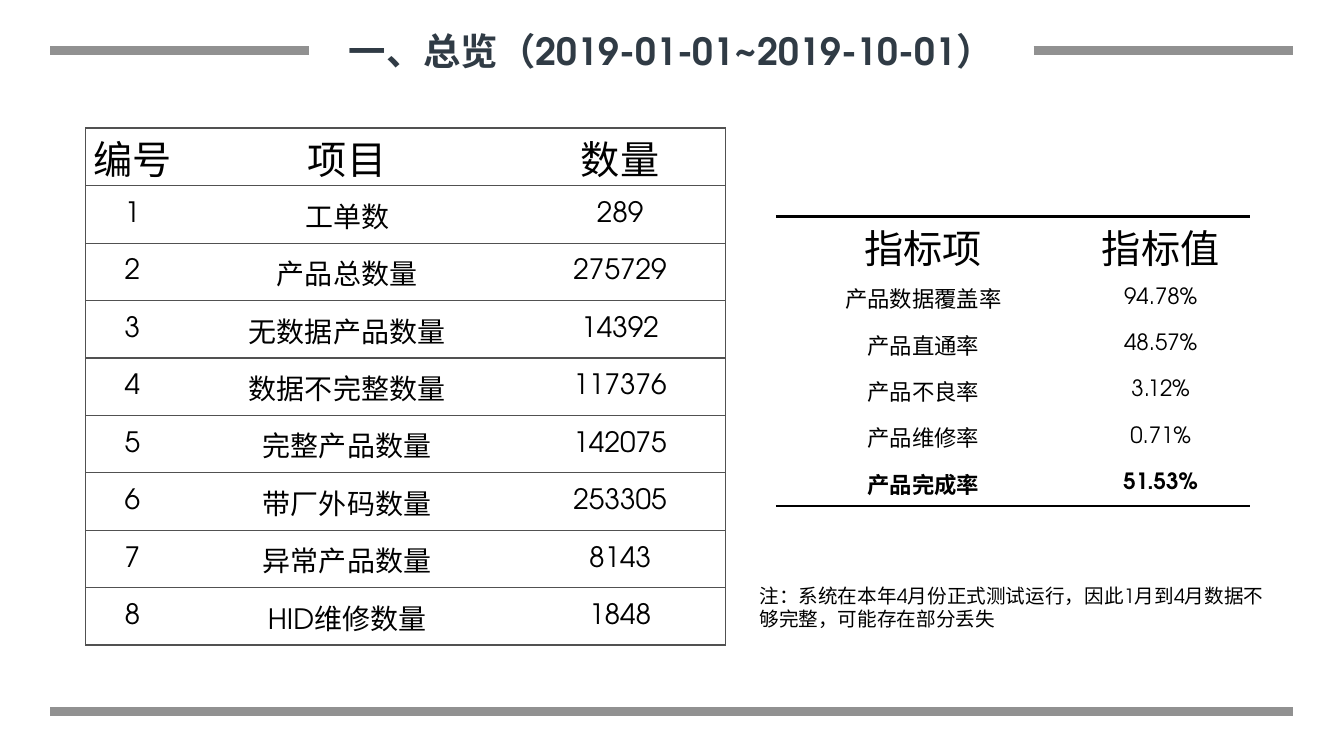
"""Build the overview slide with its quantity and indicator tables."""
from dataclasses import dataclass

from lxml.etree import SubElement
from pptx import Presentation
from pptx.dml.color import RGBColor
from pptx.enum.shapes import MSO_CONNECTOR as CONN
from pptx.enum.text import MSO_ANCHOR as ANCHOR, PP_ALIGN as ALIGN
from pptx.oxml.ns import qn
from pptx.util import Inches, Pt

FONT = "TeX Gyre Adventor"
NO_STYLE = "{2D5ABB26-0587-4C30-8999-92F81FD0307C}"
COLORS = {"rule": "919191", "title": "303B45", "grid": "515151",
          "text": "000000", "cell": "FFFFFF"}


@dataclass
class Rule:
    x1: float
    x2: float
    y: float


@dataclass
class Label:
    text: str
    box: tuple[float, float, float, float]
    size: float
    color: str = "text"
    bold: bool = False
    align: ALIGN = ALIGN.LEFT
    anchor: ANCHOR = ANCHOR.TOP


@dataclass
class Grid:
    rows: list[tuple[str, ...]]
    left: float
    top: float
    widths: list[float]
    head_height: float
    row_height: float
    body_size: float
    line_color: str
    line_width: float
    boxed: bool
    bold_last: bool = False


RULES = [Rule(0.5, 3.07, 0.5), Rule(10.26, 12.83, 0.5), Rule(0.5, 12.83, 7.06)]

LABELS = [
    Label("一、总览（2019-01-01~2019-10-01）", (3.07, 0.2, 7.19, 0.6), 26.7,
          "title", True, ALIGN.CENTER, ANCHOR.MIDDLE),
    Label("注：系统在本年4月份正式测试运行，因此1月到4月数据不够完整，可能存在部分丢失",
          (7.44, 5.74, 5.23, 0.57), 14),
]

QUANTITIES = [("工单数", "289"), ("产品总数量", "275729"),
              ("无数据产品数量", "14392"), ("数据不完整数量", "117376"),
              ("完整产品数量", "142075"), ("带厂外码数量", "253305"),
              ("异常产品数量", "8143"), ("HID维修数量", "1848")]
INDICATORS = [("产品数据覆盖率", "94.78%"), ("产品直通率", "48.57%"),
              ("产品不良率", "3.12%"), ("产品维修率", "0.71%"),
              ("产品完成率", "51.53%")]

GRIDS = [
    Grid([("编号", "项目", "数量")]
         + [(str(n), *row) for n, row in enumerate(QUANTITIES, 1)],
         0.85, 1.27, [0.93, 3.33, 2.09], 0.57, 0.57, 20, "grid", 1, True),
    Grid([("指标项", "指标值")] + INDICATORS,
         7.7, 2.15, [2.93, 1.78], 0.52, 0.46, 16, "text", 2, False, True),
]


def rgb(name: str) -> RGBColor:
    return RGBColor.from_string(COLORS[name])


def style(p, size: float, color: str, bold: bool, align: ALIGN) -> None:
    p.alignment = align
    p.font.name, p.font.size, p.font.bold = FONT, Pt(size), bold
    p.font.color.rgb = rgb(color)


def draw_rule(s, rule: Rule) -> None:
    y = Inches(rule.y)
    line = s.shapes.add_connector(CONN.STRAIGHT, Inches(rule.x1), y,
                                  Inches(rule.x2), y)
    line.line.color.rgb, line.line.width = rgb("rule"), Pt(6)
    SubElement(line._element.spPr, qn("a:effectLst"))


def draw_label(s, label: Label) -> None:
    sp = s.shapes.add_textbox(*map(Inches, label.box))
    tf = sp.text_frame
    tf.word_wrap, tf.vertical_anchor = True, label.anchor
    p = tf.paragraphs[0]
    p.text = label.text
    style(p, label.size, label.color, label.bold, label.align)


def add_borders(cell, sides: str, color: str, width: float) -> None:
    for side in sides:
        ln = SubElement(cell._tc.get_or_add_tcPr(), qn(f"a:ln{side}"),
                        w=str(Pt(width)))
        fill = SubElement(ln, qn("a:solidFill"))
        SubElement(fill, qn("a:srgbClr"), val=COLORS[color])


def border_sides(grid: Grid, row: int, col: int) -> str:
    last_row, last_col = len(grid.rows) - 1, len(grid.widths) - 1
    shown = {"L": grid.boxed and col == 0,
             "R": grid.boxed and col == last_col,
             "T": grid.boxed or row == 0,
             "B": grid.boxed or row == last_row}
    return "".join(side for side, on in shown.items() if on)


def draw_grid(s, grid: Grid) -> None:
    count = len(grid.rows)
    heights = [grid.head_height] + [grid.row_height] * (count - 1)
    table = s.shapes.add_table(
        count, len(grid.widths), Inches(grid.left), Inches(grid.top),
        Inches(sum(grid.widths)), Inches(sum(heights))).table
    table.first_row = table.horz_banding = False
    table._tbl.tblPr.find(qn("a:tableStyleId")).text = NO_STYLE
    for column, width in zip(table.columns, grid.widths):
        column.width = Inches(width)
    for i, (values, height) in enumerate(zip(grid.rows, heights)):
        table.rows[i].height = Inches(height)
        for j, value in enumerate(values):
            cell = table.cell(i, j)
            cell.margin_left = cell.margin_right = cell.margin_top = Inches(0.01)
            cell.margin_bottom = Inches(0)
            cell.vertical_anchor = ANCHOR.MIDDLE
            add_borders(cell, border_sides(grid, i, j), grid.line_color,
                        grid.line_width)
            cell.fill.solid()
            cell.fill.fore_color.rgb = rgb("cell")
            p = cell.text_frame.paragraphs[0]
            p.text = value
            style(p, grid.body_size if i else 28, "text",
                  grid.bold_last and i == count - 1, ALIGN.CENTER)


def main() -> None:
    prs = Presentation()
    prs.slide_width, prs.slide_height = Inches(13.34), Inches(7.5)
    s = prs.slides.add_slide(prs.slide_layouts[6])
    for rule in RULES:
        draw_rule(s, rule)
    for grid in GRIDS:
        draw_grid(s, grid)
    for label in LABELS:
        draw_label(s, label)
    prs.save("out.pptx")


main()
